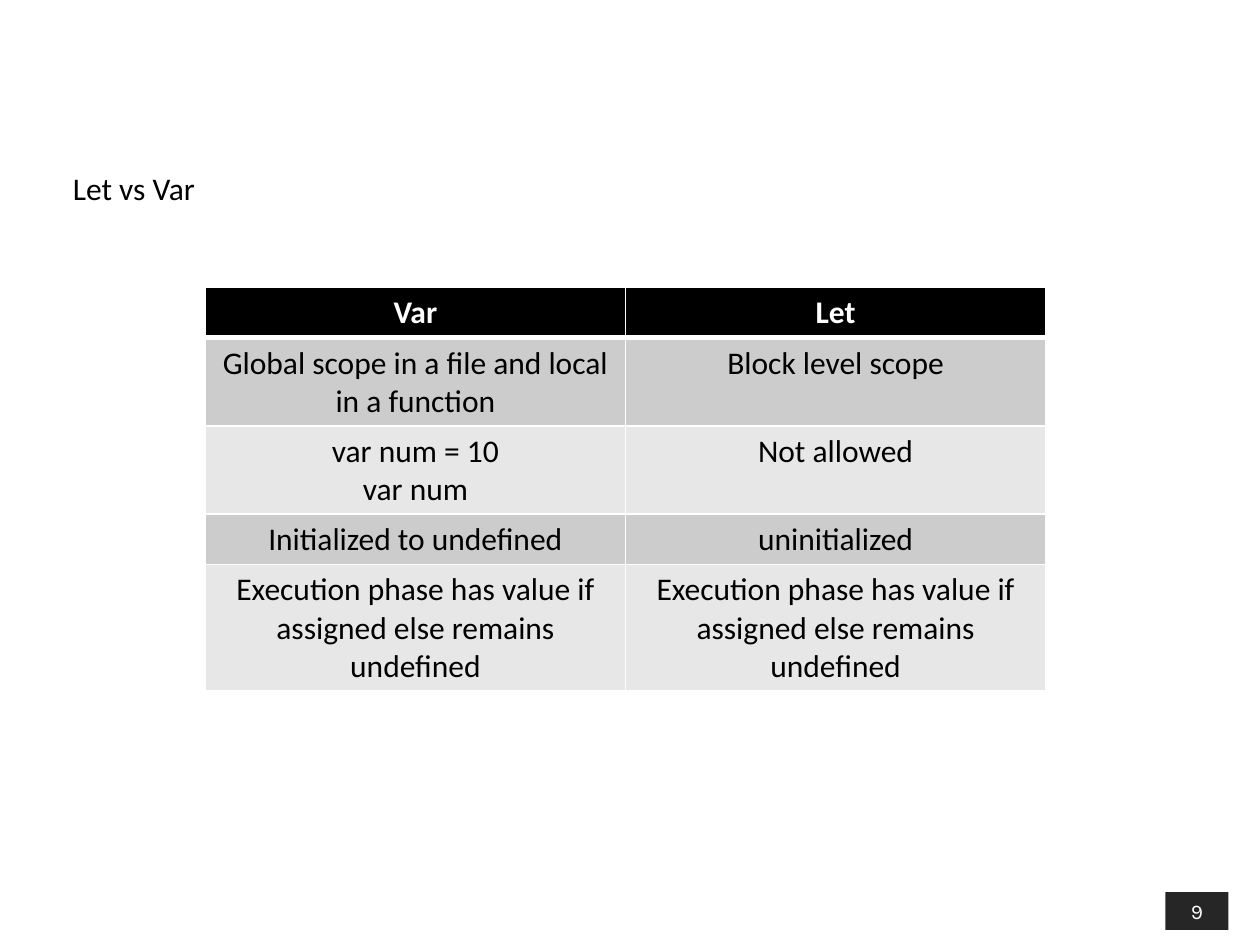
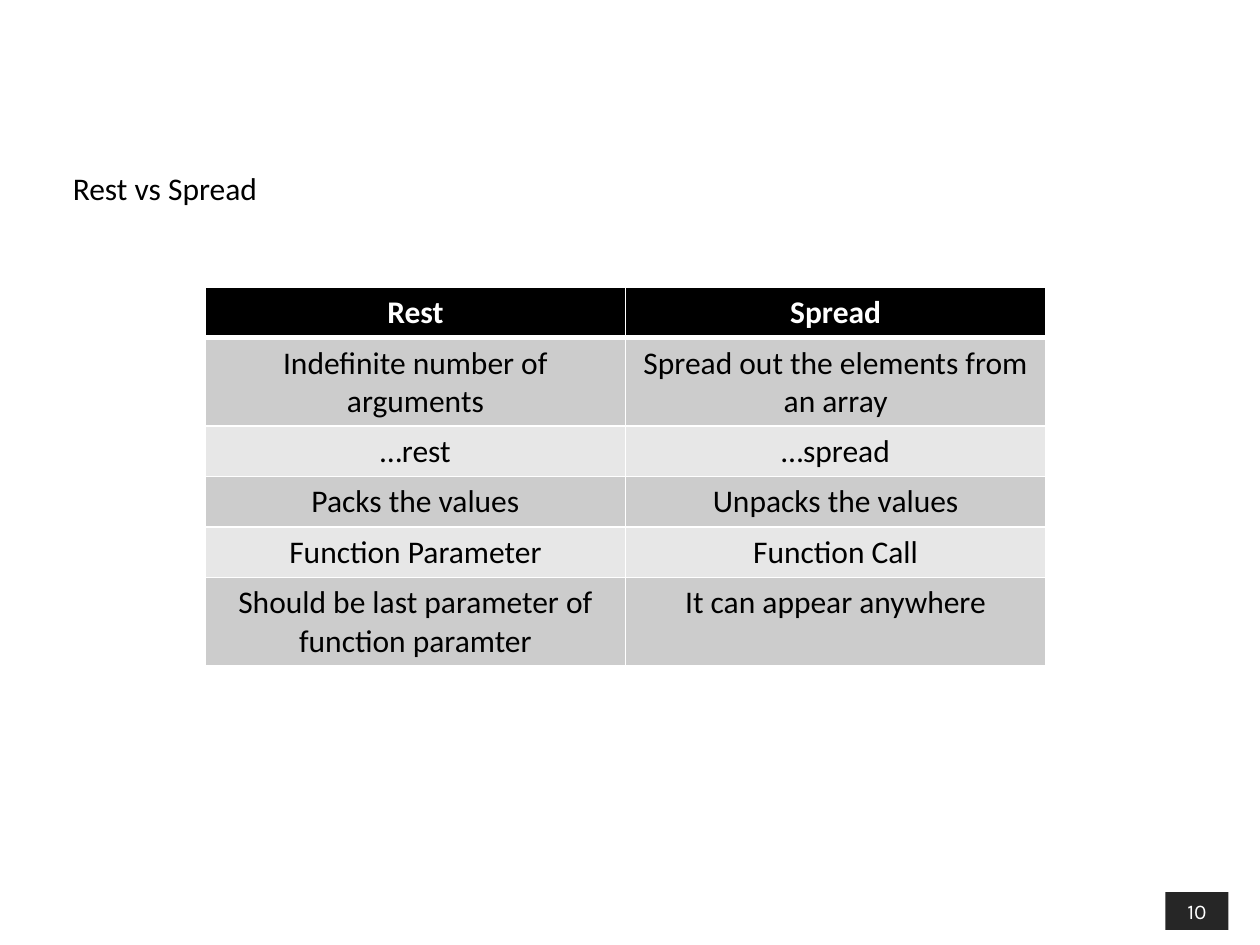
from pptx import Presentation
from pptx.dml.color import RGBColor
from pptx.enum.shapes import MSO_SHAPE
from pptx.enum.text import MSO_ANCHOR, PP_ALIGN
from pptx.oxml.ns import qn
from pptx.util import Emu, Pt
from lxml.etree import SubElement

# Shared look
BLACK = RGBColor(0x00, 0x00, 0x00)
WHITE = RGBColor(0xFF, 0xFF, 0xFF)
CHARCOAL = RGBColor(0x26, 0x26, 0x26)
DARK_BAND = RGBColor(0xCC, 0xCC, 0xCC)
LIGHT_BAND = RGBColor(0xE7, 0xE7, 0xE7)
BODY_FONT = "Calibri"
NUMBER_FONT = "Karla"
BLANK_LAYOUT = 6
ROW_HEIGHT = 40
EMU_PER_PX = 9144  # 100 px to the inch

# Content: page number, title, title width, table rows
OUTCOME = "Execution phase has value if assigned else remains undefined"
COMPARISONS = [
    (9, "Let vs Var", 147, [
        ("Var", "Let"),
        ("Global scope in a file and local in a function", "Block level scope"),
        ("var num = 10\nvar num", "Not allowed"),
        ("Initialized to undefined", "uninitialized"),
        (OUTCOME, OUTCOME),
    ]),
    (10, "Rest vs Spread", 354, [
        ("Rest", "Spread"),
        ("Indefinite number of arguments", "Spread out the elements from an array"),
        ("…rest", "…spread"),
        ("Packs the values", "Unpacks the values"),
        ("Function Parameter", "Function Call"),
        ("Should be last parameter of function paramter", "It can appear anywhere"),
    ]),
]


def px(length):
    return Emu(length * EMU_PER_PX)


def write(frame, text, size=18, font=BODY_FONT, color=BLACK, bold=False,
          align=PP_ALIGN.CENTER):
    """Fill a text frame, one paragraph to each line of text."""
    for index, line in enumerate(text.split("\n")):
        para = frame.add_paragraph() if index else frame.paragraphs[0]
        para.alignment = align
        span = para.add_run()
        span.text = line
        span.font.size = Pt(size)
        span.font.name = font
        span.font.bold = bold
        span.font.color.rgb = color


def add_page_number(page, number):
    box = page.shapes.add_shape(MSO_SHAPE.RECTANGLE, px(925), px(708), px(50), px(30))
    box.shadow.inherit = False
    box.fill.solid()
    box.fill.fore_color.rgb = CHARCOAL
    box.line.fill.background()
    box.text_frame.vertical_anchor = MSO_ANCHOR.MIDDLE
    write(box.text_frame, str(number), size=12, font=NUMBER_FONT, color=WHITE)


def add_title(page, title, width):
    box = page.shapes.add_textbox(px(48), px(129), px(width), px(40))
    box.text_frame.word_wrap = True
    write(box.text_frame, title, align=PP_ALIGN.LEFT)


def set_borders(cell, **widths):
    """Draw white cell borders; they must come before the fill in the XML."""
    properties = cell._tc.get_or_add_tcPr()
    for position, (side, width) in enumerate(widths.items()):
        line = properties.makeelement(qn(f"a:{side}"), {"w": str(Pt(width))})
        fill = SubElement(line, qn("a:solidFill"))
        SubElement(fill, qn("a:srgbClr"), val=str(WHITE))
        properties.insert(position, line)


def add_comparison_table(page, rows):
    frame = page.shapes.add_table(len(rows), 2, px(163), px(228),
                                  px(667), px(ROW_HEIGHT * len(rows)))
    table = frame.table
    for row_index, texts in enumerate(rows):
        is_header = row_index == 0
        band = DARK_BAND if row_index % 2 else LIGHT_BAND
        for column_index, text in enumerate(texts):
            cell = table.cell(row_index, column_index)
            cell.fill.solid()
            cell.fill.fore_color.rgb = BLACK if is_header else band
            set_borders(cell, lnL=1, lnR=1, lnT=3 if row_index == 1 else 1,
                        lnB=3 if is_header else 1)
            write(cell.text_frame, text, bold=is_header,
                  color=WHITE if is_header else BLACK)


def main():
    deck = Presentation()
    deck.slide_width, deck.slide_height = px(1000), px(750)
    for number, title, title_width, rows in COMPARISONS:
        page = deck.slides.add_slide(deck.slide_layouts[BLANK_LAYOUT])
        add_page_number(page, number)
        add_title(page, title, title_width)
        add_comparison_table(page, rows)
    deck.save("out.pptx")


if __name__ == "__main__":
    main()
